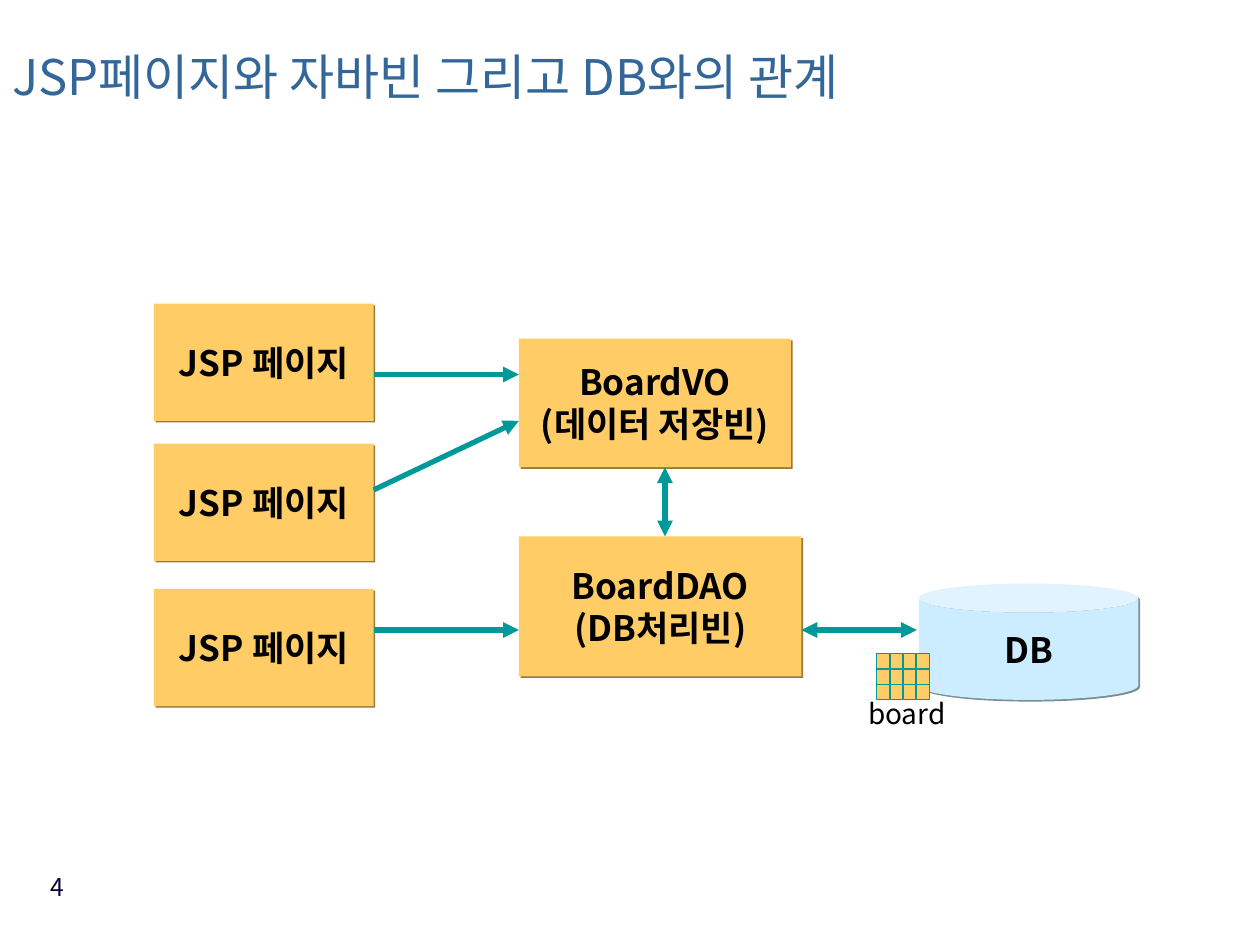
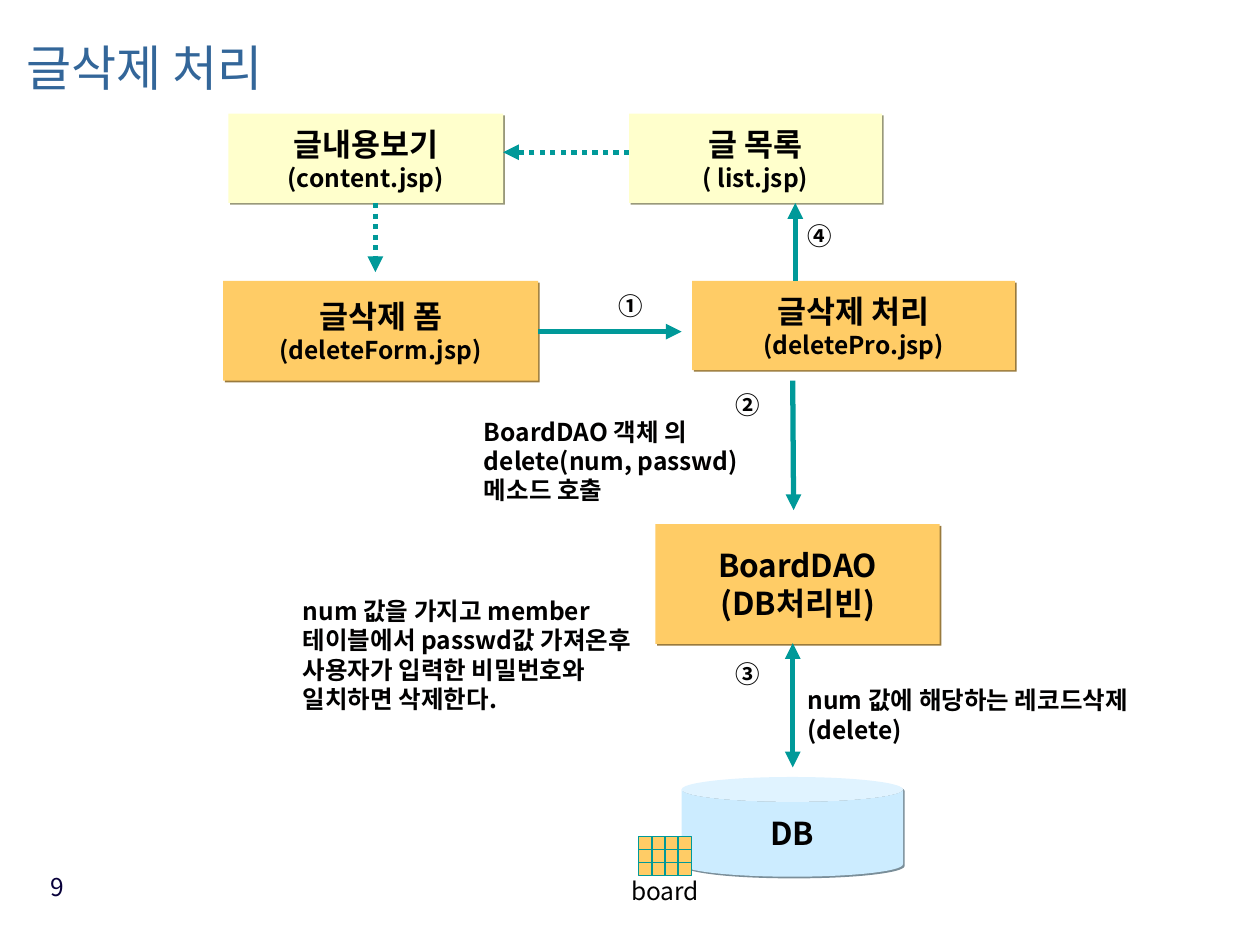
"""Builds two slides on how JSP pages, beans and the database work together."""
from lxml.etree import SubElement
from pptx import Presentation
from pptx.dml.color import RGBColor
from pptx.enum.dml import MSO_LINE_DASH_STYLE as Dash
from pptx.enum.shapes import MSO_CONNECTOR as Connector, MSO_SHAPE as Shape
from pptx.enum.text import MSO_ANCHOR as Anchor, MSO_AUTO_SIZE as AutoSize, PP_ALIGN as Align
from pptx.oxml.ns import qn
from pptx.util import Pt

FONT = "Noto Sans CJK KR"
TITLE_BLUE = "336699"
NUMBER_NAVY = "08003A"
INK = "010000"
TEAL = "009999"
ORANGE = "FFCC66"
YELLOW = "FFFFCC"
SKY = "CCECFF"
SHADOWS = {ORANGE: "997A3D", YELLOW: "99997A", SKY: "7A8E99"}
TITLE_ONLY = 5


def color(value):
    return RGBColor.from_string(value)


def points(*lengths):
    return [Pt(length) for length in lengths]


def style(para, size, ink=INK, bold=False, align=Align.LEFT):
    para.alignment = align
    font = para.font
    font.size, font.bold, font.name = Pt(size), bold, FONT
    font.color.rgb = color(ink)
    SubElement(para._p.pPr.find(qn("a:defRPr")), qn("a:ea"), typeface=FONT)


def set_margins(frame, side, edge):
    frame.margin_left = frame.margin_right = Pt(side)
    frame.margin_top = frame.margin_bottom = Pt(edge)


def add_page(deck, title, place, number):
    page = deck.slides.add_slide(deck.slide_layouts[TITLE_ONLY])
    heading = page.shapes.title
    heading.left, heading.top, heading.width, heading.height = points(*place)
    frame = heading.text_frame
    frame.text = title
    frame.auto_size = AutoSize.NONE
    frame.vertical_anchor = Anchor.MIDDLE
    para = frame.paragraphs[0]
    para.line_spacing = 0.7
    style(para, 28, TITLE_BLUE)
    add_text(page, number, (10, 494.5, 34, 37.5), 14, ink=NUMBER_NAVY, align=Align.RIGHT)
    return page


def add_text(page, text, place, size, side=7.2, edge=3.6, before=0, **look):
    box = page.shapes.add_textbox(*points(*place))
    frame = box.text_frame
    frame.word_wrap = True
    set_margins(frame, side, edge)
    frame.text = text
    para = frame.paragraphs[0]
    para.space_before = Pt(before)
    style(para, size, **look)


def add_note(page, text, place, side=0, edge=3.6):
    add_text(page, text, place, 14, side, edge, before=8.8, bold=True)


def add_step(page, mark, left, top):
    add_note(page, mark, (left, top, 18, 16.5), edge=0)


def add_node(page, place, lines, sizes, fill=ORANGE, kind=Shape.RECTANGLE):
    node = page.shapes.add_shape(kind, *points(*place))
    node.fill.solid()
    node.fill.fore_color.rgb = color(fill)
    node.line.fill.background()
    node.shadow.inherit = False
    effects = node._element.spPr.find(qn("a:effectLst"))
    shadow = SubElement(effects, qn("a:outerShdw"), blurRad="0", dist=str(Pt(1.4)),
                        dir="2700000", algn="ctr", rotWithShape="0")
    SubElement(shadow, qn("a:srgbClr"), val=SHADOWS[fill])
    frame = node.text_frame
    frame.word_wrap = False
    frame.vertical_anchor = Anchor.MIDDLE
    set_margins(frame, 7.2, 3.6)
    frame.text = "\n".join(lines)
    for para, size in zip(frame.paragraphs, sizes):
        style(para, size, bold=True, align=Align.CENTER)


def add_database(page, place, size):
    add_node(page, place, ["DB"], [size], SKY, Shape.CAN)


def add_arrow(page, start, end, both=False, dotted=False):
    arrow = page.shapes.add_connector(Connector.STRAIGHT, *points(*start, *end))
    arrow.line.color.rgb = color(TEAL)
    arrow.line.width = Pt(3)
    if dotted:
        arrow.line.dash_style = Dash.ROUND_DOT
        arrow.line._ln.find(qn("a:prstDash")).set("val", "sysDot")
    for tag in ["a:headEnd", "a:tailEnd"] if both else ["a:tailEnd"]:
        SubElement(arrow.line._ln, qn(tag), type="triangle")
    SubElement(arrow._element.spPr, qn("a:effectLst"))


def add_board_table(page, left, top, cell_height, label_place, size, before):
    cell_width = 7.5
    for row in range(3):
        for column in range(4):
            place = (left + column * cell_width, top + row * cell_height, cell_width, cell_height)
            cell = page.shapes.add_shape(Shape.RECTANGLE, *points(*place))
            cell.shadow.inherit = False
            cell.fill.solid()
            cell.fill.fore_color.rgb = color(ORANGE)
            cell.line.color.rgb = color(TEAL)
            cell.line.width = Pt(0.75)
    add_text(page, "board", label_place, size, before=before)


def add_relation_page(deck):
    page = add_page(deck, "JSP페이지와 자바빈 그리고 DB와의 관계", (0, 15, 587.5, 65), "4")
    for top in (173.5, 253.5, 336.5):
        add_node(page, (88, top, 125.5, 67), ["JSP 페이지"], [20])
    add_node(page, (296.5, 193.5, 155.5, 73.5), ["BoardVO", "(데이터 저장빈)"], [20, 20])
    add_node(page, (296.5, 306.5, 161.5, 80), ["BoardDAO", "(DB처리빈)"], [20, 20])
    add_database(page, (525, 333.5, 125.5, 66.5), 20)
    add_board_table(page, 501, 373.5, 8.8, (489, 394.5, 78, 26.5), 16, 10)
    for start_y, end_y in ((214, 214), (280, 240.5), (360, 360)):
        add_arrow(page, (213.5, start_y), (296.5, end_y))
    add_arrow(page, (380, 306.5), (380, 267), both=True)
    add_arrow(page, (458, 360), (524, 360), both=True)


def add_delete_page(deck):
    page = add_page(deck, "글삭제 처리", (8, 6, 235.5, 72.5), "9")
    add_node(page, (130.5, 65, 157, 51), ["글내용보기", "(content.jsp)"], [18, 14], YELLOW)
    add_node(page, (359.5, 65, 144.5, 51), ["글 목록", "( list.jsp)"], [18, 14], YELLOW)
    add_node(page, (127.5, 160.5, 180, 57), ["글삭제 폼", "(deleteForm.jsp)"], [18, 14])
    add_node(page, (395.5, 160.5, 184.5, 51), ["글삭제 처리", "(deletePro.jsp)"], [18, 14])
    add_node(page, (374.5, 299.5, 162.5, 68.5), ["BoardDAO", "(DB처리빈)"], [18, 18])
    add_database(page, (389.5, 444, 126.5, 57), 18)
    add_board_table(page, 365, 478, 7.5, (353.5, 497, 78.5, 24.5), 14, 8.8)

    add_arrow(page, (359.5, 87), (287.5, 87), dotted=True)
    add_arrow(page, (214.5, 116), (214.5, 155.5), dotted=True)
    add_arrow(page, (307.5, 189.5), (389.5, 189.5))
    add_arrow(page, (453, 217.5), (453.5, 291.5))
    add_arrow(page, (453, 438.5), (453, 367.5), both=True)
    add_arrow(page, (454.5, 160.5), (454.5, 116))

    add_step(page, "①", 353.5, 166.5)
    add_step(page, "②", 420, 223)
    add_step(page, "③", 420, 376.5)
    add_step(page, "④", 461.5, 126.5)
    add_note(page, "BoardDAO 객체 의 delete(num, passwd)메소드 호출",
             (269.5, 234.5, 180.5, 57.5), side=7.2)
    add_note(page, "num 값을 가지고 member 테이블에서 passwd값 가져온후 "
             "사용자가 입력한 비밀번호와 일치하면 삭제한다.", (173, 337, 198.5, 75))
    add_note(page, "num 값에 해당하는 레코드삭제(delete)", (461.5, 388, 198.5, 41))


def main():
    deck = Presentation()
    deck.slide_width, deck.slide_height = points(720, 540)
    add_relation_page(deck)
    add_delete_page(deck)
    deck.save("out.pptx")


if __name__ == "__main__":
    main()
